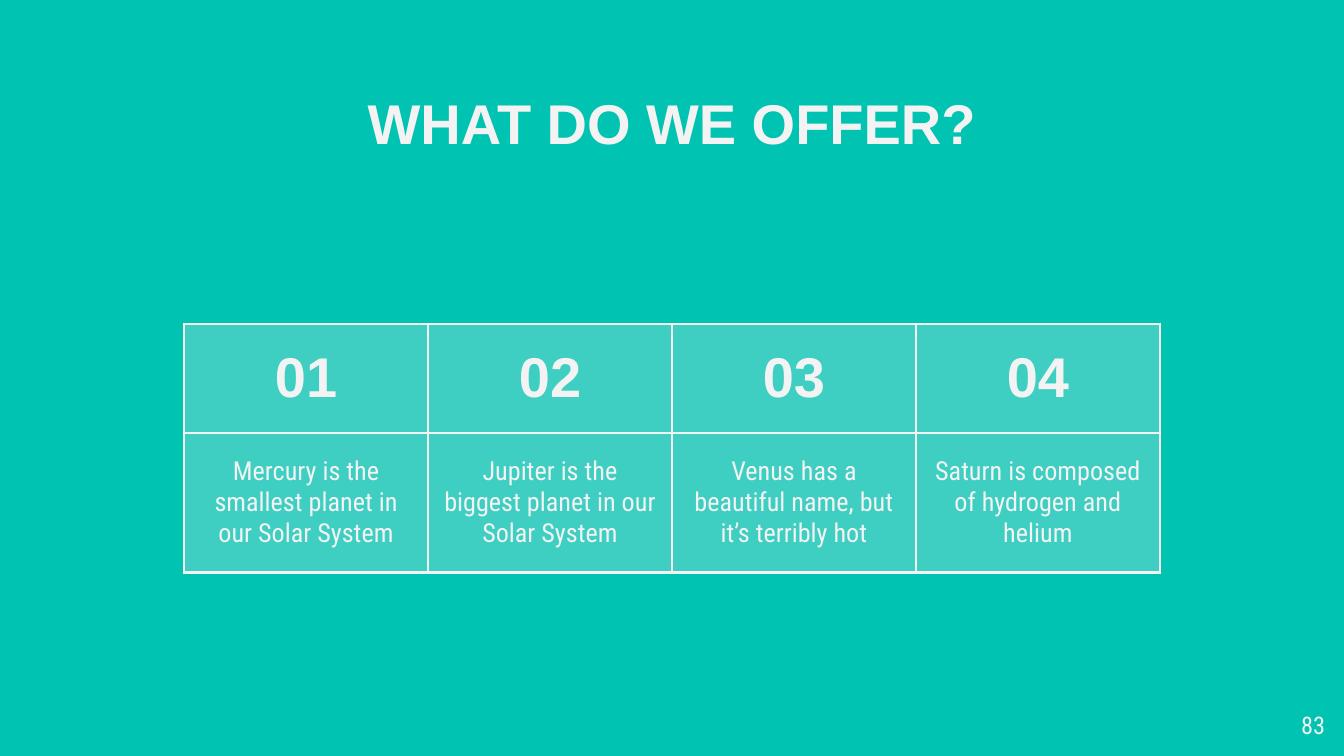
from typing import NamedTuple

from lxml import etree
from pptx import Presentation
from pptx.dml.color import RGBColor
from pptx.enum.text import MSO_ANCHOR, PP_ALIGN
from pptx.oxml.ns import qn
from pptx.util import Cm, Pt

CENTER, RIGHT = PP_ALIGN.CENTER, PP_ALIGN.RIGHT
TOP, MIDDLE = MSO_ANCHOR.TOP, MSO_ANCHOR.MIDDLE
TEAL, PALE = "00C3B1", "F3F3F3"
PAD = Cm(0.25)
COL = Cm(4.61)
ROWS = (Cm(2.06), Cm(2.64))


class Style(NamedTuple):
    font: str
    size: float
    bold: bool


class Label(NamedTuple):
    text: str
    left: float
    top: float
    width: float
    height: float
    style: Style
    align: PP_ALIGN


class Offer(NamedTuple):
    number: str
    text: str


HEAD = Style("Arial", 30, True)
BODY = Style("Roboto Condensed", 14, False)
PAGE = Style("Roboto Condensed", 13, False)

LABELS = (
    Label("WHAT DO WE OFFER?", 2, 1.42, 21.4, 1.6, HEAD, CENTER),
    Label("83", 23.77, 13.18, 1.52, 1.1, PAGE, RIGHT),
)
OFFERS = (
    Offer("01", "Mercury is the smallest planet in our Solar System"),
    Offer("02", "Jupiter is the biggest planet in our Solar System"),
    Offer("03", "Venus has a beautiful name, but it’s terribly hot"),
    Offer("04", "Saturn is composed of hydrogen and helium"),
)


def paint(fill, color: str) -> None:
    fill.solid()
    fill.fore_color.rgb = RGBColor.from_string(color)


def write(frame, text: str, style: Style, align: PP_ALIGN) -> None:
    frame.text = text
    para = frame.paragraphs[0]
    para.alignment = align
    font = para.runs[0].font
    font.name, font.size, font.bold = style.font, Pt(style.size), style.bold
    paint(font.fill, PALE)


def add_label(slide, label: Label) -> None:
    box = slide.shapes.add_textbox(
        Cm(label.left), Cm(label.top), Cm(label.width), Cm(label.height)
    )
    frame = box.text_frame
    frame.word_wrap = True
    frame.vertical_anchor = TOP
    frame.margin_left = frame.margin_right = PAD
    frame.margin_top = frame.margin_bottom = PAD
    write(frame, label.text, label.style, label.align)


def add_edges(cell) -> None:
    props = cell._tc.get_or_add_tcPr()
    for side in ("lnL", "lnR", "lnT", "lnB"):
        line = etree.SubElement(props, qn(f"a:{side}"), w=str(Pt(1.5)))
        fill = etree.SubElement(line, qn("a:solidFill"))
        etree.SubElement(fill, qn("a:srgbClr"), val=PALE)


def add_cell(cell, text: str, style: Style) -> None:
    cell.margin_left = cell.margin_right = PAD
    cell.margin_top = cell.margin_bottom = PAD
    cell.vertical_anchor = MIDDLE
    write(cell.text_frame, text, style, CENTER)
    add_edges(cell)
    paint(cell.fill, PALE)
    tint = cell._tc.tcPr.find(f"{qn('a:solidFill')}/{qn('a:srgbClr')}")
    etree.SubElement(tint, qn("a:alpha"), val="26000")


def add_offers(slide) -> None:
    count = len(OFFERS)
    table = slide.shapes.add_table(
        len(ROWS), count, Cm(3.48), Cm(6.12), COL * count, sum(ROWS)
    ).table
    table.first_row = table.horz_banding = False
    for row, height in zip(table.rows, ROWS):
        row.height = height
    for col, offer in enumerate(OFFERS):
        table.columns[col].width = COL
        add_cell(table.cell(0, col), offer.number, HEAD)
        add_cell(table.cell(1, col), offer.text, BODY)


def main() -> None:
    deck = Presentation()
    deck.slide_width, deck.slide_height = Cm(25.4), Cm(14.29)
    slide = deck.slides.add_slide(deck.slide_layouts[6])
    paint(slide.background.fill, TEAL)
    add_offers(slide)
    for label in LABELS:
        add_label(slide, label)
    deck.save("out.pptx")


if __name__ == "__main__":
    main()
